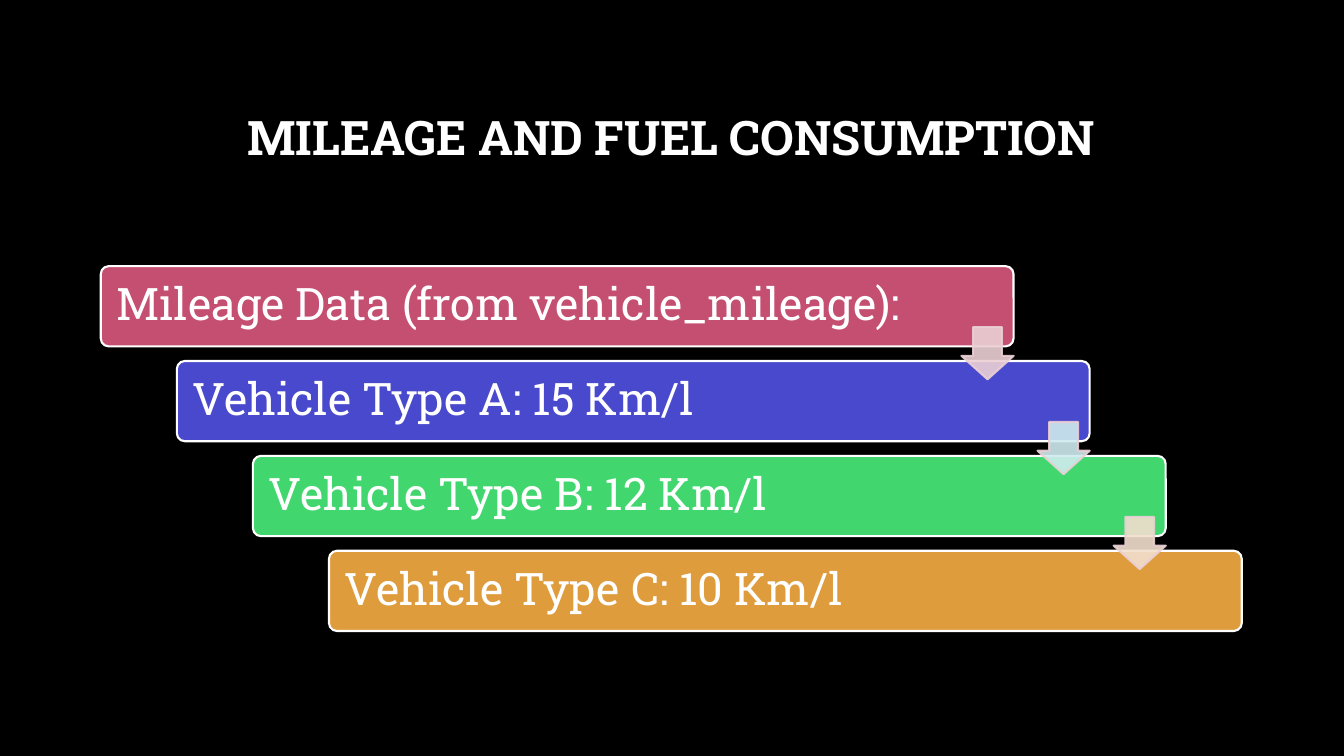
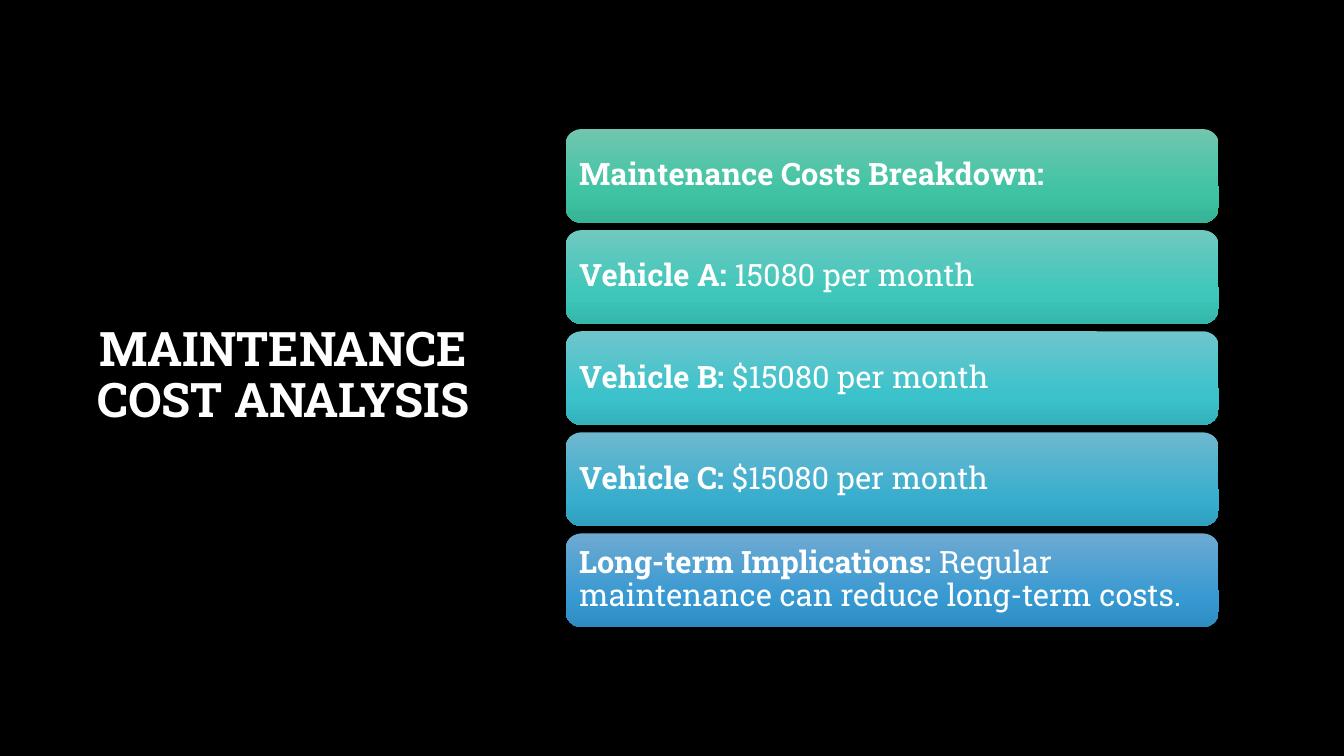
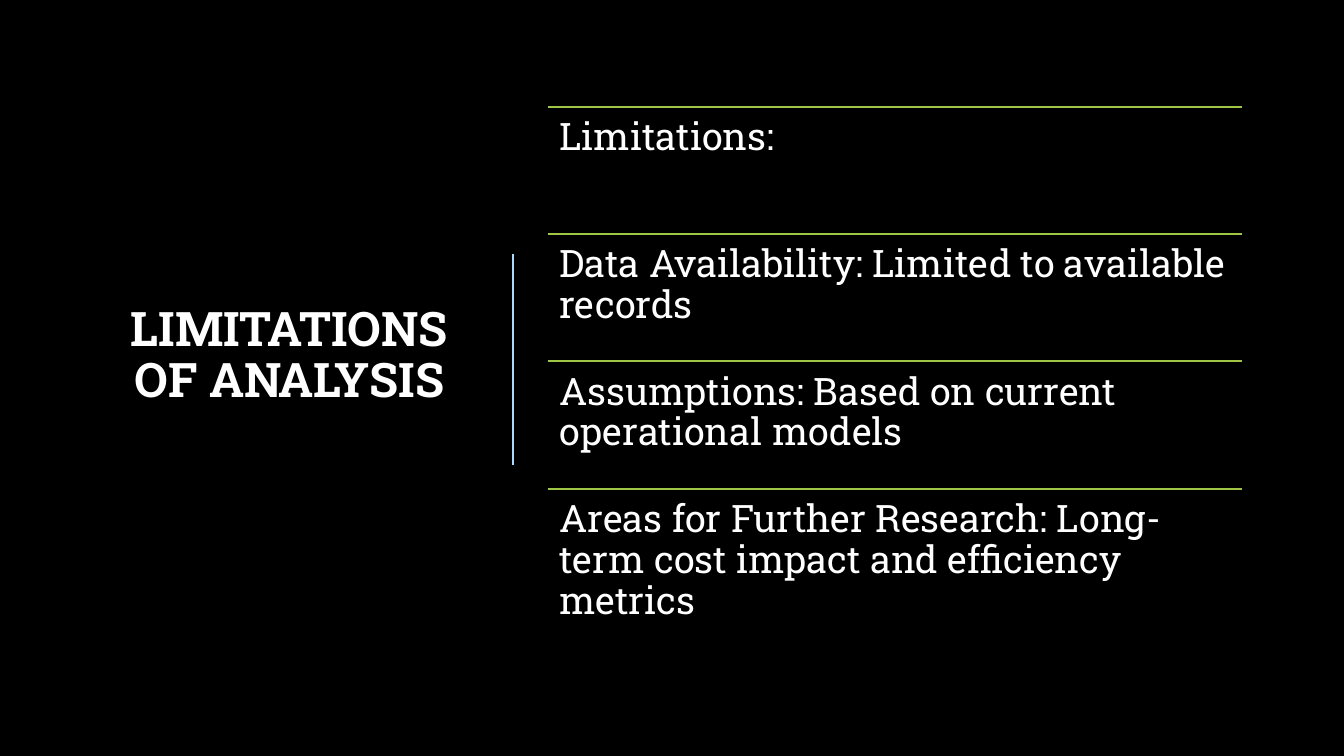
from copy import deepcopy

from lxml.etree import SubElement
from pptx import Presentation
from pptx.dml.color import RGBColor
from pptx.enum.shapes import MSO_CONNECTOR, MSO_SHAPE
from pptx.enum.text import MSO_ANCHOR, PP_ALIGN
from pptx.oxml.ns import qn
from pptx.util import Inches, Pt

FONT = "Roboto Slab"
SLIDE_W, SLIDE_H = 13.33, 7.5
COLORS = {
    "background": "000000", "text": "FFFFFF",
    "rose": "C54F71", "indigo": "4949CD", "green": "42D66E", "amber": "DE9C3C",
    "pale_rose": "EAD0D5", "pale_blue": "CFEAEE", "pale_amber": "F2DECE",
    "divider": "ABDAFC", "rule": "9EC544",
}

# Bar label, bar colour, colour of the arrow leading to the next bar
STEPS = [
    ("Mileage Data (from vehicle_mileage):", "rose", "pale_rose"),
    ("Vehicle Type A: 15 Km/l", "indigo", "pale_blue"),
    ("Vehicle Type B: 12 Km/l", "green", "pale_amber"),
    ("Vehicle Type C: 10 Km/l", "amber", None),
]
# Bold lead, plain rest, gradient from top to bottom
COSTS = [
    ("Maintenance Costs Breakdown:", "", ("70C6AF", "3EC4A3", "37B395")),
    ("Vehicle A:", " 15080 per month", ("6FC9C0", "3DC7BA", "35B7AB")),
    ("Vehicle B:", " $15080 per month", ("6EC6CC", "3BC2CB", "33B2BA")),
    ("Vehicle C:", " $15080 per month", ("6EB8CF", "39AECE", "31A0BE")),
    ("Long-term Implications:", " Regular maintenance can reduce long-term costs.",
     ("6DAAD2", "3799D2", "2F8CC2")),
]
LIMITATIONS = [
    "Limitations:",
    "Data Availability: Limited to available records",
    "Assumptions: Based on current operational models",
    "Areas for Further Research: Long-term cost impact and efficiency metrics",
]


def rgb(name):
    return RGBColor.from_string(COLORS.get(name, name))


def region(left, top, width, height):
    """Turn percentages of the slide into a box in inches."""
    return (left * SLIDE_W / 100, top * SLIDE_H / 100,
            width * SLIDE_W / 100, height * SLIDE_H / 100)


# Shared parts
def write(s, runs, size, margin=None, anchor=MSO_ANCHOR.MIDDLE, align=PP_ALIGN.LEFT):
    """Fill a shape with one paragraph of (text, bold) runs."""
    tf = s.text_frame
    tf.word_wrap = True
    tf.vertical_anchor = anchor
    if margin is not None:
        tf.margin_left = tf.margin_right = Inches(margin)
        tf.margin_top = tf.margin_bottom = Inches(margin)
    p = tf.paragraphs[0]
    p.alignment = align
    p.line_spacing = 0.9
    p.font.name, p.font.size = FONT, Pt(size)
    p.font.color.rgb = rgb("text")
    for text, bold in runs:
        r = p.add_run()
        r.text, r.font.bold = text, bold


def add_text(slide, box, runs, size, **layout):
    s = slide.shapes.add_textbox(*map(Inches, box))
    write(s, runs, size, **layout)


def add_title(slide, box, text):
    add_text(slide, box, [(text, True)], 34, align=PP_ALIGN.CENTER)


def add_shape(slide, kind, box, adjustments=()):
    s = slide.shapes.add_shape(kind, *map(Inches, box))
    s.shadow.inherit = False
    for i, value in enumerate(adjustments):
        s.adjustments[i] = value
    return s


def paint(s, fill, line):
    s.fill.solid()
    s.fill.fore_color.rgb = rgb(fill)
    s.line.color.rgb = rgb(line)
    s.line.width = Pt(1.5)


def add_line(slide, x1, y1, x2, y2, color, width):
    c = slide.shapes.add_connector(MSO_CONNECTOR.STRAIGHT, *map(Inches, (x1, y1, x2, y2)))
    c.line.color.rgb = rgb(color)
    c.line.width = Pt(width)
    SubElement(c._element.spPr, qn("a:effectLst"))


def set_opacity(s, percent):
    for color in s._element.spPr.iter(qn("a:srgbClr")):
        SubElement(color, qn("a:alpha")).set("val", str(percent * 1000))


def set_gradient(s, colors, positions=(0, 0.69, 1)):
    s.fill.gradient()
    s.fill.gradient_angle = 270
    stops = s._element.spPr.find(qn("a:gradFill")).find(qn("a:gsLst"))
    stops.append(deepcopy(stops[0]))
    for stop, color, position in zip(s.fill.gradient_stops, colors, positions):
        stop.color.rgb = rgb(color)
        stop.position = position


# Regions
def staircase(slide, box, steps):
    """Bars stepping down to the right, joined by arrows."""
    x, y, w, h = box
    bar_w, bar_h = 0.8 * w, 0.22 * h
    dx, dy = (w - bar_w) / (len(steps) - 1), (h - bar_h) / (len(steps) - 1)
    for i, (text, color, _) in enumerate(steps):
        bar = add_shape(slide, MSO_SHAPE.ROUNDED_RECTANGLE,
                        (x + i * dx, y + i * dy, bar_w, bar_h), [0.1])
        paint(bar, color, "text")
        write(bar, [(text, False)], 32, margin=0.13)
    # Arrows lie over the bars, flush with the right end of the upper one
    side = 0.65 * bar_h
    for i, (_, _, color) in enumerate(steps[:-1]):
        arrow = add_shape(slide, MSO_SHAPE.DOWN_ARROW,
                          (x + i * dx + bar_w - side, y + i * dy + 0.76 * bar_h, side, side),
                          [0.55, 0.45])
        paint(arrow, color, "pale_rose")
        set_opacity(arrow, 90)


def cost_bars(slide, box, costs):
    """Equal gradient bars with a gap of 8% of their height."""
    x, y, w, h = box
    gap = 0.08
    bar_h = h / (len(costs) + gap * (len(costs) - 1))
    for i, (lead, rest, colors) in enumerate(costs):
        bar = add_shape(slide, MSO_SHAPE.ROUNDED_RECTANGLE,
                        (x, y + i * bar_h * (1 + gap), w, bar_h))
        set_gradient(bar, colors)
        bar.line.fill.background()
        runs = [(lead, True)] + ([(rest, False)] if rest else [])
        write(bar, runs, 22, margin=0.09)


def ruled_rows(slide, box, rows):
    """Equal rows of text, each under a rule."""
    x, y, w, h = box
    row_h = h / len(rows)
    for i, text in enumerate(rows):
        top = y + i * row_h
        add_line(slide, x, top, x + w, top, "rule", 1.5)
        add_text(slide, (x, top, w, row_h), [(text, False)], 27,
                 margin=0.11, anchor=MSO_ANCHOR.TOP)


# Slides
def mileage_slide(slide):
    add_title(slide, region(7.5, 8.93, 84.9, 19.33), "MILEAGE AND FUEL CONSUMPTION")
    staircase(slide, region(7.5, 35.2, 84.9, 48.27), STEPS)


def maintenance_slide(slide):
    add_title(slide, region(6.15, 8.93, 29.85, 81.73), "MAINTENANCE COST ANALYSIS")
    cost_bars(slide, region(42.08, 17.07, 48.6, 65.87), COSTS)


def limitations_slide(slide):
    add_title(slide, region(7.5, 13.47, 28.05, 67.33), "LIMITATIONS OF ANALYSIS")
    x, y, _, h = region(38.18, 33.6, 0, 27.87)
    add_line(slide, x, y, x, y + h, "divider", 1)
    ruled_rows(slide, region(40.8, 14.13, 51.6, 67.33), LIMITATIONS)


def main():
    prs = Presentation()
    prs.slide_width, prs.slide_height = Inches(SLIDE_W), Inches(SLIDE_H)
    background = prs.slide_master.background.fill
    background.solid()
    background.fore_color.rgb = rgb("background")
    for build in (mileage_slide, maintenance_slide, limitations_slide):
        build(prs.slides.add_slide(prs.slide_layouts[6]))
    prs.save("out.pptx")


if __name__ == "__main__":
    main()
